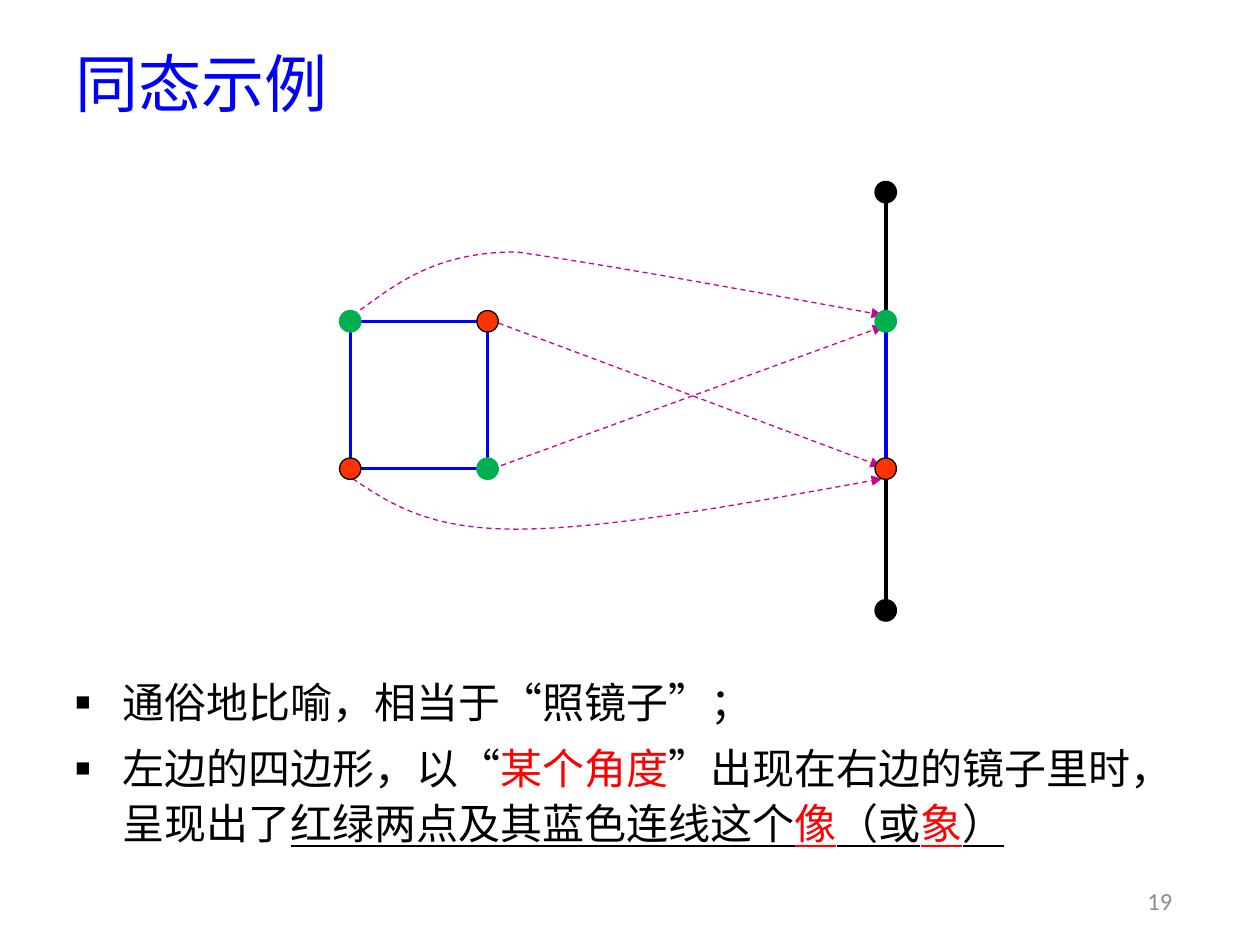
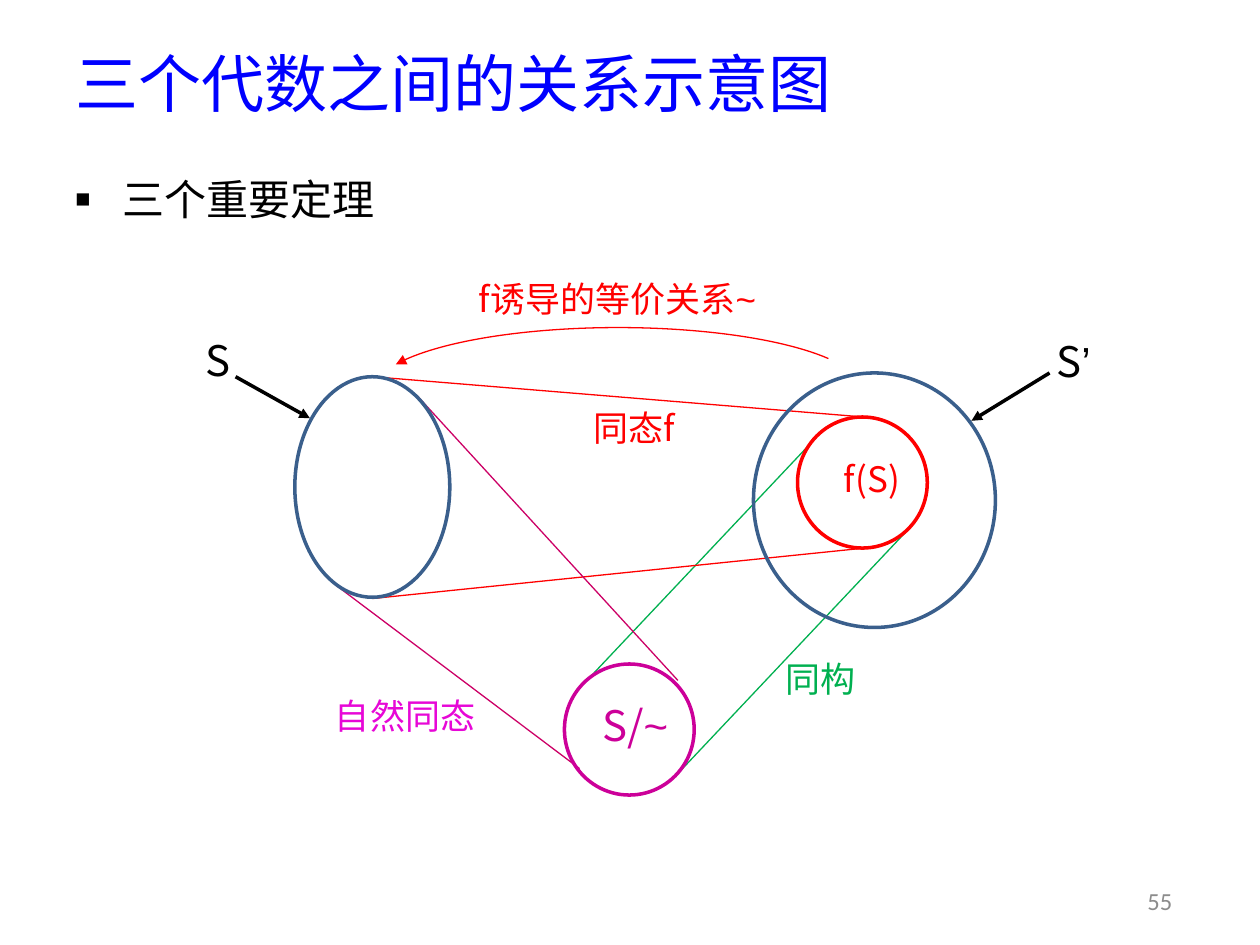
import dataclasses
import typing

import lxml.etree
import pptx
import pptx.dml.color
import pptx.enum.dml
import pptx.enum.shapes
import pptx.enum.text
import pptx.oxml.ns
import pptx.util

COLORS = {
    "blue": "0000FF", "black": "000000", "grey": "8C8C8C", "red": "FF0000",
    "orange": "FF3300", "green": "00B050", "violet": "CC0099", "rose": "CC0066",
    "pink": "E707D7", "steel": "3A5F8C",
}
CJK = "Noto Sans CJK SC"
COLUMNS, ROWS = 100, 75
CELL = pptx.util.Inches(10) // COLUMNS
DOT = 1.7
SHAPES = pptx.enum.shapes.MSO_SHAPE
ALIGN = pptx.enum.text.PP_ALIGN
qn = pptx.oxml.ns.qn

Point = tuple[float, float]
Runs = list[tuple[str, dict[str, typing.Any]]]


@dataclasses.dataclass(frozen=True)
class Box:
    col: float
    row: float
    cols: float
    rows: float

    def emu(self) -> list[int]:
        return [cells(n) for n in (self.col, self.row, self.cols, self.rows)]


@dataclasses.dataclass(frozen=True)
class Line:
    start: Point
    end: Point
    color: str
    width: float = 0.75
    dash: bool = False
    arrow: bool = False


@dataclasses.dataclass(frozen=True)
class Dot:
    center: Point
    fill: str
    outline: str


@dataclasses.dataclass(frozen=True)
class Ring:
    box: Box
    color: str


@dataclasses.dataclass(frozen=True)
class Label:
    box: Box
    runs: Runs
    color: str
    size: float = 20


def cells(n: float) -> int:
    return pptx.util.Emu(round(n * CELL))


def rgb(name: str) -> pptx.dml.color.RGBColor:
    return pptx.dml.color.RGBColor.from_string(COLORS[name])


def add_run(p, text: str, *, size: float = 24, color: str = "black",
            font: str = CJK, underline: bool = False) -> None:
    r = p.add_run()
    r.text = text
    r.font.size = pptx.util.Pt(size)
    r.font.color.rgb = rgb(color)
    r.font.name = font
    if underline:
        r.font.underline = True
    rPr = r._r.get_or_add_rPr()
    rPr.set("lang", "zh-CN")
    lxml.etree.SubElement(rPr, qn("a:ea")).set("typeface", font)


def add_bullet(p) -> None:
    pPr = p._p.get_or_add_pPr()
    indent = cells(3.75)
    pPr.set("marL", str(indent))
    pPr.set("indent", str(-indent))
    for tag, key, value in (("a:buSzPct", "val", "60000"),
                            ("a:buFont", "typeface", "Arial"),
                            ("a:buChar", "char", "■")):
        lxml.etree.SubElement(pPr, qn(tag)).set(key, value)


def add_label(s, label: Label) -> None:
    tf = s.shapes.add_textbox(*label.box.emu()).text_frame
    tf.word_wrap = True
    tf.vertical_anchor = pptx.enum.text.MSO_ANCHOR.MIDDLE
    p = tf.paragraphs[0]
    p.alignment = ALIGN.CENTER
    for text, fmt in label.runs:
        add_run(p, text, **{"size": label.size, "color": label.color, **fmt})


def add_bullets(s, box: Box, paragraphs: list[Runs]) -> None:
    tf = s.shapes.add_textbox(*box.emu()).text_frame
    tf.word_wrap = True
    for i, runs in enumerate(paragraphs):
        p = tf.add_paragraph() if i else tf.paragraphs[0]
        add_bullet(p)
        p.line_spacing = 1.1
        if i:
            p.space_before = pptx.util.Pt(6)
        for text, fmt in runs:
            add_run(p, text, **fmt)


def format_line(line, color: str, width: float, dash: bool = False,
                arrow: bool = False) -> None:
    line.color.rgb = rgb(color)
    line.width = pptx.util.Pt(width)
    if dash:
        line.dash_style = pptx.enum.dml.MSO_LINE.DASH
    if arrow:
        tail = lxml.etree.SubElement(line._get_or_add_ln(), qn("a:tailEnd"))
        tail.set("type", "triangle")


def add_line(s, line: Line) -> None:
    ends = [cells(n) for n in (*line.start, *line.end)]
    c = s.shapes.add_connector(pptx.enum.shapes.MSO_CONNECTOR.STRAIGHT, *ends)
    format_line(c.line, line.color, line.width, line.dash, line.arrow)
    lxml.etree.SubElement(c._element.spPr, qn("a:effectLst"))


def add_shape(s, kind, box: Box, line_color: str, width: float,
              fill: str | None = None, arrow: bool = False):
    sp = s.shapes.add_shape(kind, *box.emu())
    sp.shadow.inherit = False
    if fill:
        sp.fill.solid()
        sp.fill.fore_color.rgb = rgb(fill)
    else:
        sp.fill.background()
    format_line(sp.line, line_color, width, arrow=arrow)
    return sp


def add_dot(s, dot: Dot) -> None:
    x, y = dot.center
    box = Box(x - DOT / 2, y - DOT / 2, DOT, DOT)
    add_shape(s, SHAPES.FLOWCHART_CONNECTOR, box, dot.outline, 0.75, dot.fill)


def add_curve(s, points: list[Point], color: str) -> None:
    builder = s.shapes.build_freeform(*points[0], scale=float(CELL))
    builder.add_line_segments(points[1:], close=False)
    sp = builder.convert_to_shape()
    corners = list(sp._element.iter(qn("a:lnTo")))
    for i in range(0, len(corners), 3):
        bend = lxml.etree.Element(qn("a:cubicBezTo"))
        corners[i].addprevious(bend)
        for corner in corners[i:i + 3]:
            bend.append(corner[0])
            corner.getparent().remove(corner)
    sp.shadow.inherit = False
    sp.fill.background()
    format_line(sp.line, color, 0.75, dash=True, arrow=True)


def add_titled_slide(prs, title: str, number: int):
    s = prs.slides.add_slide(prs.slide_layouts[5])
    sp = s.shapes.title
    sp.left, sp.top, sp.width, sp.height = Box(5, 3.1, 90, 6.9).emu()
    tf = sp.text_frame
    tf.vertical_anchor = pptx.enum.text.MSO_ANCHOR.MIDDLE
    tf.paragraphs[0].alignment = ALIGN.LEFT
    add_run(tf.paragraphs[0], title, size=36, color="blue")
    add_label(s, Label(Box(89.1, 69.5, 5.9, 4),
                       [(str(number), {"font": "Calibri"})], "grey", 14))
    return s


def build_example(prs) -> None:
    s = add_titled_slide(prs, "同态示例", 19)
    left, right, mirror = 27.8, 38.7, 70.3
    top, upper, lower, bottom = 15.25, 25.5, 37.2, 48.45

    add_line(s, Line((39.1, 37.2), (70.1, 25.9), "violet", dash=True, arrow=True))
    add_line(s, Line((38.9, 25.4), (69.9, 37), "violet", dash=True, arrow=True))
    middle = (upper + lower) / 2
    arch = [(27.9, 24.9), (31, 22.7), (34.1, 20.5), (41.1, 20.5),
            (48, 20.6), (58.9, 22.9), (69.7, 25.2)]
    add_curve(s, arch, "violet")
    add_curve(s, [(x, 2 * middle + 0.3 - y) for x, y in arch], "violet")

    square = [(left, upper), (right, upper), (right, lower), (left, lower)]
    for start, end in zip(square, square[1:] + square[:1]):
        add_line(s, Line(start, end, "blue", 2))
    for start, end, color in ((top, upper, "black"), (upper, lower, "blue"),
                              (lower, bottom, "black")):
        add_line(s, Line((mirror, start), (mirror, end), color, 2))
    for center, fill, outline in (
            ((left, upper), "green", "green"), ((right, upper), "orange", "black"),
            ((left, lower), "orange", "black"), ((right, lower), "green", "green"),
            ((mirror, top), "black", "black"), ((mirror, upper), "green", "green"),
            ((mirror, lower), "orange", "black"), ((mirror, bottom), "black", "black")):
        add_dot(s, Dot(center, fill, outline))

    red, under = {"color": "red"}, {"underline": True}
    add_bullets(s, Box(5, 52.8, 89.3, 15.3), [
        [("通俗地比喻，相当于“照镜子”；", {})],
        [("左边的四边形，以“", {}), ("某个角度", red),
         ("”出现在右边的镜子里时，呈现出了", {}),
         ("红绿两点及其蓝色连线这个", under), ("像", red | under),
         ("（或", under), ("象", red | under), ("）", under)],
    ])


def build_relations(prs) -> None:
    s = add_titled_slide(prs, "三个代数之间的关系示意图", 55)
    add_bullets(s, Box(5, 12.9, 50.2, 5.8), [[("三个重要定理", {})]])

    for line in (
            Line((46.4, 54.2), (64.8, 34.7), "green"),
            Line((53.7, 61.5), (72.1, 42), "green"),
            Line((29.6, 29.9), (68.6, 33.1), "red"),
            Line((29.6, 47.5), (68.6, 43.5), "red"),
            Line((26.6, 46.4), (46, 61), "rose"),
            Line((33.1, 31.4), (53.8, 54), "rose"),
            Line((83.3, 29.6), (77.1, 33.4), "black", 2, arrow=True),
            Line((18.7, 29.9), (24.6, 33.2), "black", 2, arrow=True)):
        add_line(s, line)

    for ring in (
            Ring(Box(63.3, 33.1, 10.3, 10.4), "red"),
            Ring(Box(23.4, 29.9, 12.3, 17.5), "steel"),
            Ring(Box(59.8, 29.6, 19.2, 20.2), "steel"),
            Ring(Box(44.8, 52.7, 10.3, 10.4), "violet")):
        add_shape(s, SHAPES.OVAL, ring.box, ring.color, 2)

    arc = add_shape(s, SHAPES.ARC, Box(29.6, 26, 38.9, 10.1), "red", 0.75, arrow=True)
    arc.adjustments[0], arc.adjustments[1] = 113.29, 211.86
    arc._element.spPr.find(qn("a:xfrm")).set("flipH", "1")

    arial = {"font": "Arial"}
    for label in (
            Label(Box(61.1, 51.4, 8.1, 4.9), [("同构", {})], "green"),
            Label(Box(44.6, 31.5, 11.5, 4.9), [("同态f", {})], "red"),
            Label(Box(65.3, 35.5, 7.8, 4.9), [("f(S)", {})], "red"),
            Label(Box(24.2, 54.3, 15.9, 4.9), [("自然同态", {})], "pink"),
            Label(Box(36.1, 21.2, 25.8, 4.9),
                  [("f诱导的等价关系", {}), ("~", arial)], "red"),
            Label(Box(14.7, 26.1, 5.2, 4.9), [("S", {})], "black", 24),
            Label(Box(82.6, 26.2, 5.2, 4.9), [("S", {}), ("’", arial)], "black", 24),
            Label(Box(46.5, 55.1, 7.8, 4.9), [("S/", {}), ("~", arial)], "violet", 24)):
        add_label(s, label)


def main() -> None:
    prs = pptx.Presentation()
    prs.slide_width, prs.slide_height = cells(COLUMNS), cells(ROWS)
    build_example(prs)
    build_relations(prs)
    prs.save("out.pptx")


if __name__ == "__main__":
    main()
